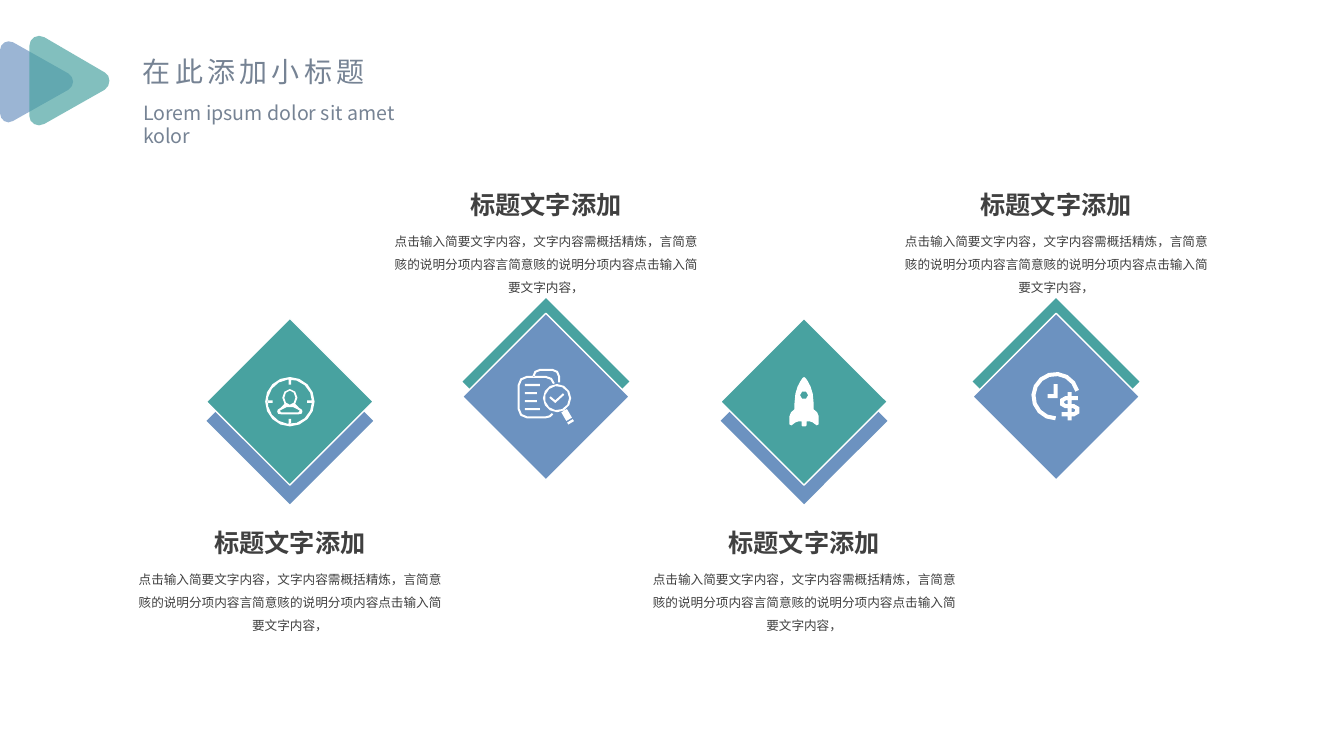
from math import cos, hypot, radians, sin, sqrt

from lxml import etree
from pptx import Presentation
from pptx.dml.color import RGBColor
from pptx.enum.shapes import MSO_SHAPE
from pptx.enum.text import MSO_AUTO_SIZE, PP_ALIGN
from pptx.oxml.ns import qn
from pptx.util import Inches, Pt

RECTANGLE = MSO_SHAPE.RECTANGLE
GROW = MSO_AUTO_SIZE.SHAPE_TO_FIT_TEXT
LEFT, CENTER = PP_ALIGN.LEFT, PP_ALIGN.CENTER

COLUMNS, ROWS = 1333, 750
CELL = Inches(0.01)
FONT = "Noto Sans CJK SC"
COLORS = {"teal": "48A2A0", "blue": "6C92C0", "white": "FFFFFF",
          "heading": "768394", "text": "404040"}

ITEM_TITLE = "标题文字添加"
ITEM_BODY = ("点击输入简要文字内容，文字内容需概括精炼，言简意赅的说明分项内容"
             "言简意赅的说明分项内容点击输入简要文字内容，")


def cells(count):
    return round(count * CELL)


def rgb(name):
    return RGBColor.from_string(COLORS[name])


def arc(x, y, rx, start=0, end=360, ry=None):
    """Points on an ellipse, angles in degrees clockwise from the right."""
    steps = max(2, round(abs(end - start) / 360 * 3.2 * sqrt(rx)))
    angles = [radians(start + (end - start) * i / steps) for i in range(steps + 1)]
    return [(x + rx * cos(a), y + (ry or rx) * sin(a)) for a in angles]


def bezier(p0, p1, p2, p3, steps=4):
    """Points on a cubic curve."""
    curve = []
    for i in range(steps + 1):
        t = i / steps
        weights = ((1 - t) ** 3, 3 * t * (1 - t) ** 2, 3 * t * t * (1 - t), t ** 3)
        curve.append(tuple(sum(w * p[axis] for w, p in zip(weights, (p0, p1, p2, p3)))
                           for axis in (0, 1)))
    return curve


def mirror(half):
    """Close the right half of an outline with its reflection."""
    return half + [(-x, y) for x, y in reversed(half)]


def stroke(line, width):
    """Outline of a polyline of the given width, with mitred corners."""
    normals = []
    for (x0, y0), (x1, y1) in zip(line, line[1:]):
        length = hypot(x1 - x0, y1 - y0)
        normals.append(((y0 - y1) / length, (x1 - x0) / length))
    right, left = [], []
    for (x, y), (ax, ay), (bx, by) in zip(line, normals[:1] + normals,
                                          normals + normals[-1:]):
        reach = width / 2 / (1 + ax * bx + ay * by)
        dx, dy = (ax + bx) * reach, (ay + by) * reach
        right.append((x + dx, y + dy))
        left.append((x - dx, y - dy))
    return right + left[::-1]


def target_icon():
    head_and_shoulders = mirror(arc(0, -4, 7.5, -90, 45, ry=8.5) + [
        (9, 6), (12, 8), (12.5, 10), (11.5, 12), (8.5, 12.5)])
    chest = mirror([(3.5, 5.5), (7.5, 7.5), (10, 9), (8.5, 10.5)])
    ticks = [stroke([(17 * x, 17 * y), (22 * x, 22 * y)], 2.5)
             for x, y in ((1, 0), (0, 1), (-1, 0), (0, -1))]
    return [arc(0, 0, 24.5), arc(0, 0, 22), head_and_shoulders,
            arc(0, -4, 5.5, ry=7), chest, *ticks]


def review_icon():
    page = (arc(0, -11.5, 8, -10, -90) + arc(-19, -11.5, 8, 270, 180)
            + arc(-19, 12.5, 8, 180, 90) + arc(0, 12.5, 8, 90, 35))
    back_page = arc(-6, -20, 6.5, 180, 270) + arc(6.5, -20, 6.5, 270, 360) + [(13, -14)]
    check = [(4, 0.5), (9.2, 5), (17.5, -2.5)]
    text_lines = [stroke([(-21, -11.5 + 8 * i), (end, -11.5 + 8 * i)], 2)
                  for i, end in enumerate((-6, -9, -9, -6))]
    return [stroke(page, 2), stroke(back_page, 2), arc(11, 1.5, 14), arc(11, 1.5, 12),
            stroke(check, 2), stroke([(18, 14), (23, 22.5)], 6.5),
            stroke([(23.8, 24), (25, 26)], 6.5), *text_lines]


def rocket_icon():
    hull = bezier((1.5, -23.5), (4, -20), (9.5, -12.5), (9.5, 1.5))
    fin = [(9.5, 7.5), (13, 10.5), (14.5, 14.5), (14.5, 22.5), (12.5, 23.5)]
    tail = [(8.5, 20.5), (5.5, 19.5), (2.5, 19.5), (2.5, 23.5), (1.5, 24.5)]
    return [mirror([(0, -24.5)] + hull + fin + tail), arc(0, -6.5, 4)]


def cost_icon():
    dial = arc(-0.5, -0.5, 22, 90, 346)
    hands = [(-0.5, -12.5), (-0.5, -0.5), (-8.5, -0.5)]
    dollar = ([(21.5, 1.5)] + arc(9.5, 5.5, 4, 270, 90)
              + arc(17.5, 13.5, 4, -90, 90) + [(5.5, 17.5)])
    bars = [stroke([(13.5, top), (13.5, top + 4)], 4) for top in (-4.5, 3.5, 11.5, 19.5)]
    return [stroke(dial, 4), stroke(hands, 4), stroke(dollar, 4), *bars]


class Deck:
    """Style and current slide; every length is in columns and rows of the grid."""

    def __init__(self):
        self.presentation = Presentation()
        self.presentation.slide_width = cells(COLUMNS)
        self.presentation.slide_height = cells(ROWS)
        self.slide = self.presentation.slides.add_slide(self.presentation.slide_layouts[6])

    def text(self, words, left, top, width, height, *, size, color="text", bold=False,
             align=LEFT, spacing=None, tracking=None, wrap=True):
        box = self.slide.shapes.add_textbox(*map(cells, (left, top, width, height)))
        frame = box.text_frame
        frame.word_wrap = wrap
        frame.auto_size = GROW
        paragraph = frame.paragraphs[0]
        paragraph.alignment = align
        paragraph.line_spacing = spacing
        run = paragraph.add_run()
        run.text = words
        run.font.name = FONT
        run.font.size = Pt(size)
        run.font.bold = bold
        run.font.color.rgb = rgb(color)
        properties = run.font._element
        etree.SubElement(properties, qn("a:ea")).set("typeface", FONT)
        if tracking:
            properties.set("spc", str(tracking * 100))

    def paint(self, shape, color, outline=None, opacity=None):
        shape.shadow.inherit = False
        shape.fill.solid()
        shape.fill.fore_color.rgb = rgb(color)
        if outline:
            shape.line.color.rgb = rgb(outline)
            shape.line.width = Pt(1)
        else:
            shape.line.fill.background()
        if opacity:
            fill = shape._element.spPr.find(qn("a:solidFill"))
            etree.SubElement(fill[0], qn("a:alpha")).set("val", str(opacity * 1000))

    def diamond(self, x, y, color, outline=None, side=117):
        square = self.slide.shapes.add_shape(
            RECTANGLE, *map(cells, (x - side / 2, y - side / 2, side, side)))
        square.rotation = 315
        self.paint(square, color, outline)

    def outline(self, contours, color, x=0, y=0, opacity=None):
        """Fill closed contours placed around (x, y); inner contours are holes."""
        placed = [[(cells(x + px), cells(y + py)) for px, py in contour]
                  for contour in contours]
        builder = self.slide.shapes.build_freeform(*placed[0][0])
        for contour in placed:
            if contour is not placed[0]:
                builder.move_to(*contour[0])
            builder.add_line_segments(contour[1:], close=True)
        self.paint(builder.convert_to_shape(), color, opacity=opacity)

    def play_mark(self, color, *corners):
        self.outline([[p for corner in corners for p in bezier(*corner)]], color, opacity=68)

    def item(self, x, icon, raised):
        if raised:
            back, front, title = ("teal", 378.5), ("blue", 393.5), 183
        else:
            back, front, title = ("blue", 417.5), ("teal", 398.5), 518
        self.diamond(x, back[1], back[0])
        self.diamond(x, front[1], front[0], outline="white")
        self.outline(icon, "white", x, front[1])
        self.text(ITEM_TITLE, x - 116.5, title, 233, 40, size=18, bold=True, align=CENTER)
        self.text(ITEM_BODY, x - 165.5, title + 37, 331, 76, size=9, align=CENTER,
                  spacing=1.5)


def main():
    deck = Deck()
    deck.text("在此添加小标题", 132, 49, 246, 44, size=20, color="heading", tracking=3,
              wrap=False)
    deck.text("Lorem ipsum dolor sit amet kolor", 132, 95, 319, 34, size=14,
              color="heading")
    deck.play_mark("blue", ((13, 42), (7, 39), (0, 43), (0, 50)),
                   ((0, 112), (0, 119), (7, 124), (13, 120)),
                   ((68, 89), (74, 85), (74, 77), (68, 73)))
    deck.play_mark("teal", ((44, 37), (37, 33), (29, 38), (29, 46)),
                   ((29, 115), (29, 122), (37, 127), (44, 123)),
                   ((104, 89), (110, 85), (110, 75), (104, 72)))
    deck.item(287.5, target_icon(), raised=False)
    deck.item(541.5, review_icon(), raised=True)
    deck.item(797.5, rocket_icon(), raised=False)
    deck.item(1047.5, cost_icon(), raised=True)
    deck.presentation.save("out.pptx")


if __name__ == "__main__":
    main()
